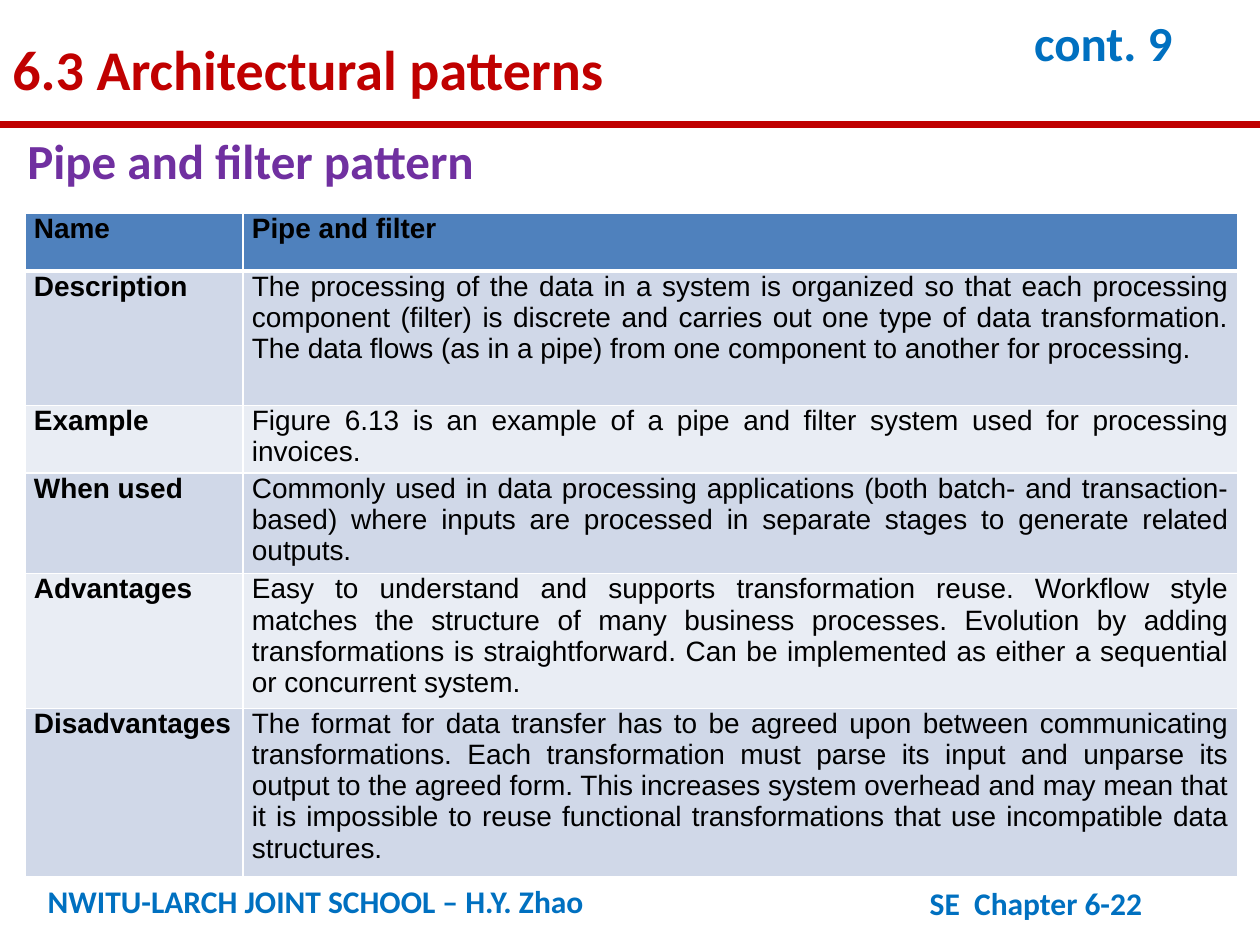
from lxml import etree
from pptx import Presentation, util as u
from pptx.dml.color import RGBColor
from pptx.enum import shapes, text
from pptx.oxml.ns import qn

RED = RGBColor(0xC0, 0x00, 0x00)
BLUE = RGBColor(0x00, 0x70, 0xC0)
PURPLE = RGBColor(0x70, 0x30, 0xA0)
BLACK = RGBColor(0x00, 0x00, 0x00)
WHITE = RGBColor(0xFF, 0xFF, 0xFF)
HEAD = RGBColor(0x4F, 0x81, 0xBD)
BANDS = [RGBColor(0xE9, 0xED, 0xF4), RGBColor(0xD0, 0xD8, 0xE8)]

ROWS = [
    ("Name", "Pipe and filter", 4.6),
    ("Description",
     "The processing of the data in a system is organized so that each "
     "processing component (filter) is discrete and carries out one type of "
     "data transformation. The data flows (as in a pipe) from one component "
     "to another for processing.", 10.7),
    ("Example",
     "Figure 6.13 is an example of a pipe and filter system used for "
     "processing invoices.", 5.3),
    ("When used",
     "Commonly used in data processing applications (both batch- and "
     "transaction-based) where inputs are processed in separate stages to "
     "generate related outputs.", 8),
    ("Advantages",
     "Easy to understand and supports transformation reuse. Workflow style "
     "matches the structure of many business processes. Evolution by adding "
     "transformations is straightforward. Can be implemented as either a "
     "sequential or concurrent system.", 10.7),
    ("Disadvantages",
     "The format for data transfer has to be agreed upon between "
     "communicating transformations. Each transformation must parse its "
     "input and unparse its output to the agreed form. This increases system "
     "overhead and may mean that it is impossible to reuse functional "
     "transformations that use incompatible data structures.", 13.3),
]


class Deck:
    """Style and current slide, on a grid of 100 columns by 75 rows."""

    def __init__(self):
        self.prs = Presentation()
        self.prs.slide_width, self.prs.slide_height = u.Inches(10), u.Inches(7.5)
        self.unit = self.prs.slide_width / 100
        self.slide = self.prs.slides.add_slide(self.prs.slide_layouts[6])

    def grid(self, *vals):
        return [u.Emu(round(v * self.unit)) for v in vals]

    def style(self, para, font, size, color, bold=True):
        for run in para.runs:
            f = run.font
            f.name, f.size, f.bold = font, u.Pt(size), bold
            f.color.rgb = color

    def label(self, words, box, size, color, space=None):
        frame = self.slide.shapes.add_textbox(*self.grid(*box)).text_frame
        frame.word_wrap = True
        frame.text = words
        para = frame.paragraphs[0]
        if space:
            para.line_spacing = space
        self.style(para, "Calibri", size, color)

    def rule(self, row, color, width):
        line = self.slide.shapes.add_connector(
            shapes.MSO_CONNECTOR.STRAIGHT, *self.grid(0, row, 100, row))
        line.line.color.rgb, line.line.width = color, u.Pt(width)
        etree.SubElement(line._element.spPr, qn("a:effectLst"))

    def edge(self, cell, side, width):
        line = etree.SubElement(cell._tc.get_or_add_tcPr(), qn("a:ln" + side),
                                w=str(u.Pt(width)))
        fill = etree.SubElement(line, qn("a:solidFill"))
        etree.SubElement(fill, qn("a:srgbClr"), val=str(WHITE))

    def cell(self, cell, words, fill, bold, under):
        for side, width in zip("LRTB", (1, 1, 1, under)):
            self.edge(cell, side, width)
        cell.fill.solid()
        cell.fill.fore_color.rgb = fill
        cell.margin_left = cell.margin_right = u.Inches(0.07)
        cell.margin_top = cell.margin_bottom = 0
        cell.text_frame.text = words
        para = cell.text_frame.paragraphs[0]
        para.alignment = text.PP_ALIGN.JUSTIFY
        self.style(para, "Arial", 16, BLACK, bold)

    def table(self, left, top, cols, rows):
        high = sum(row[-1] for row in rows)
        table = self.slide.shapes.add_table(
            len(rows), len(cols), *self.grid(left, top, sum(cols), high)).table
        for col, wide in zip(table.columns, self.grid(*cols)):
            col.width = wide
        for r, (*words, tall) in enumerate(rows):
            table.rows[r].height = self.grid(tall)[0]
            fill = BANDS[r % 2] if r else HEAD
            # The header's lower edge is shared with the row beneath it
            for c, word in enumerate(words):
                self.cell(table.cell(r, c), word, fill,
                          r == 0 or c == 0, 1 if r else 3)
                if r == 1:
                    top_line = table.cell(r, c)._tc.tcPr.find(qn("a:lnT"))
                    top_line.set("w", str(u.Pt(3)))


def main():
    deck = Deck()
    # Rule under the heading
    deck.rule(9.9, RED, 4)
    # Footer
    deck.label("NWITU-LARCH JOINT SCHOOL – H.Y. Zhao",
               (2.8, 69.5, 63.1, 4), 18, BLUE)
    deck.label("SE  Chapter 6-22", (72.8, 69.7, 26.1, 4), 18, BLUE)
    # Heading
    deck.label("6.3 Architectural patterns", (0, 1.2, 65.4, 7), 32, RED, 1.2)
    deck.label("cont. 9", (81.1, 1.7, 15.7, 4.7), 28, BLUE, u.Pt(25))
    # Pattern table
    deck.table(2, 16.9, (17.3, 78.9), ROWS)
    deck.label("Pipe and filter pattern", (1.2, 9.9, 96.4, 5.7), 28, PURPLE)
    deck.prs.save("out.pptx")


if __name__ == "__main__":
    main()
